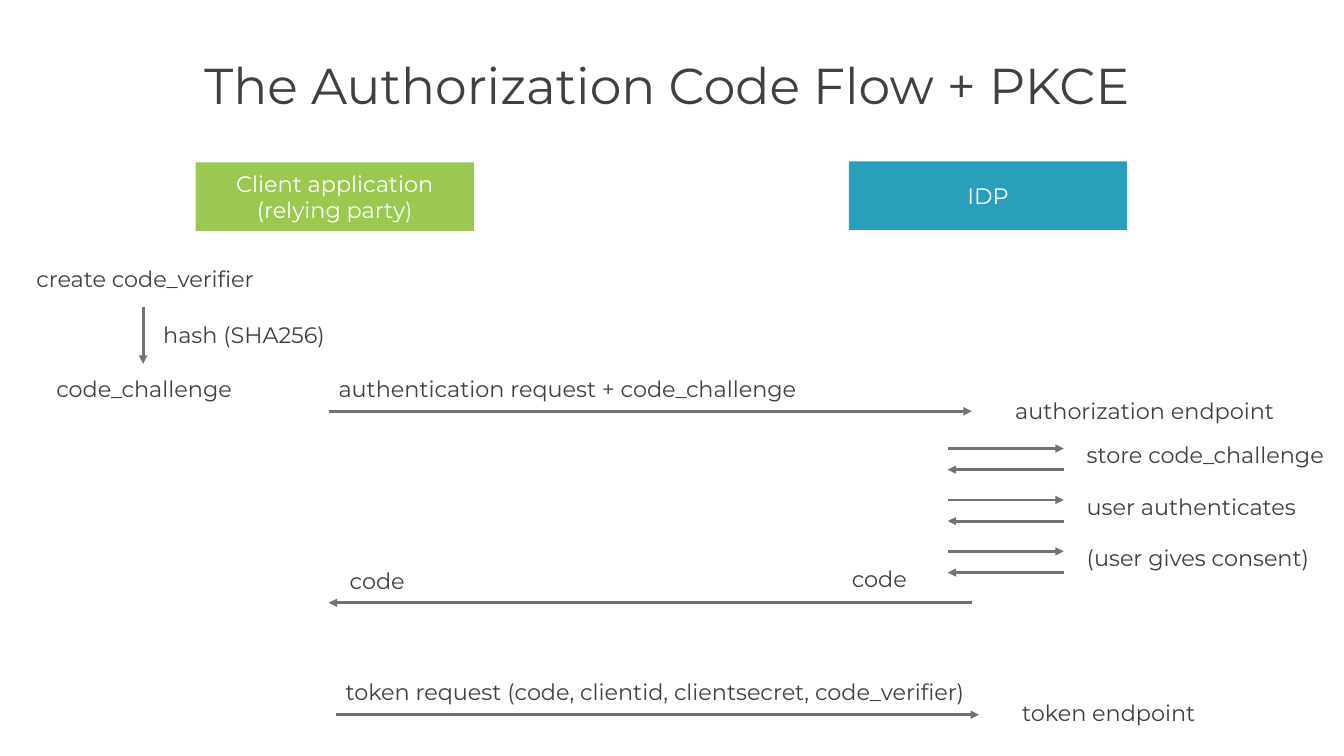
from lxml.etree import SubElement
from pptx import Presentation
from pptx.dml.color import RGBColor
from pptx.enum.shapes import MSO_CONNECTOR, MSO_SHAPE
from pptx.enum.text import MSO_ANCHOR, PP_ALIGN
from pptx.oxml.ns import qn
from pptx.util import Inches, Pt

COLORS = {
    "text": "404040",
    "arrow": "727272",
    "client": "9BC850",
    "idp": "2A9FBC",
    "white": "FFFFFF",
}


def style_text(frame, text, size, color, align):
    frame.word_wrap = True
    frame.text = text
    paragraph = frame.paragraphs[0]
    paragraph.alignment = align
    font = paragraph.runs[0].font
    font.name = "Montserrat"
    font.size = Pt(size)
    font.color.rgb = RGBColor.from_string(COLORS[color])


def add_arrow(x1, y1, x2, y2):
    """Draw a line with its arrowhead at (x2, y2)."""
    arrow = slide.shapes.add_connector(
        MSO_CONNECTOR.STRAIGHT, Inches(x1), Inches(y1), Inches(x2), Inches(y2))
    arrow.line.color.rgb = RGBColor.from_string(COLORS["arrow"])
    arrow.line.width = Pt(2)
    SubElement(arrow.line._get_or_add_ln(), qn("a:tailEnd"), type="triangle")
    SubElement(arrow._element.spPr, qn("a:effectLst"))


prs = Presentation()
prs.slide_width, prs.slide_height = Inches(13.33), Inches(7.5)
slide = prs.slides.add_slide(prs.slide_layouts[5])

title = slide.shapes.title
title.left, title.top = Inches(0.77), Inches(0.64)
title.width, title.height = Inches(11.79), Inches(0.48)
heading = title.text_frame
heading.margin_left = 0
heading.vertical_anchor = MSO_ANCHOR.MIDDLE
style_text(heading, "The Authorization Code Flow + PKCE", 36, "text", PP_ALIGN.CENTER)
heading.paragraphs[0].line_spacing = 0.85

parties = [
    ("Client application (relying party)", 1.94, 1.61, "client"),
    ("IDP", 8.42, 1.6, "idp"),
]
for name, left, top, color in parties:
    party = slide.shapes.add_shape(
        MSO_SHAPE.RECTANGLE, Inches(left), Inches(top), Inches(2.76), Inches(0.68))
    party.shadow.inherit = False
    party.fill.solid()
    party.fill.fore_color.rgb = RGBColor.from_string(COLORS[color])
    party.line.fill.background()
    frame = party.text_frame
    frame.margin_left = frame.margin_right = Inches(0.2)
    frame.margin_top = frame.margin_bottom = Inches(0.2)
    frame.vertical_anchor = MSO_ANCHOR.MIDDLE
    style_text(frame, name, 16, "white", PP_ALIGN.CENTER)

labels = [
    ("create code_verifier", 0.21, 2.58, 2.46, PP_ALIGN.CENTER),
    ("hash (SHA256)", 1.52, 3.14, 2.46, PP_ALIGN.LEFT),
    ("code_challenge", 0.25, 3.67, 2.36, PP_ALIGN.CENTER),
    ("authentication request + code_challenge", 3.26, 3.67, 5.2, PP_ALIGN.LEFT),
    ("authorization endpoint", 9.97, 3.89, 3.45, PP_ALIGN.LEFT),
    ("code", 8.35, 5.56, 0.79, PP_ALIGN.LEFT),
    ("code", 3.37, 5.58, 1.91, PP_ALIGN.LEFT),
    ("token request (code, clientid, clientsecret, code_verifier)",
     3.33, 6.68, 6.52, PP_ALIGN.LEFT),
    ("token endpoint", 10.04, 6.89, 3.45, PP_ALIGN.LEFT),
]

add_arrow(1.42, 3.05, 1.42, 3.61)  # hash
add_arrow(3.26, 4.08, 9.64, 4.08)  # authentication request
add_arrow(9.64, 5.98, 3.26, 5.98)  # code
add_arrow(3.33, 7.09, 9.71, 7.09)  # token request

# Each step inside the IDP is an arrow out, an arrow back and a label
idp_steps = ["store code_challenge", "user authenticates", "(user gives consent)"]
for i, step in enumerate(idp_steps):
    y = 4.45 + i * 0.51
    add_arrow(9.4, y, 10.55, y)
    add_arrow(10.55, y + 0.21, 9.4, y + 0.21)
    labels.append((step, 10.68, y - 0.12, 3.45, PP_ALIGN.LEFT))

for text, left, top, width, align in labels:
    label = slide.shapes.add_textbox(
        Inches(left), Inches(top), Inches(width), Inches(0.37))
    style_text(label.text_frame, text, 16, "text", align)

prs.save("out.pptx")
